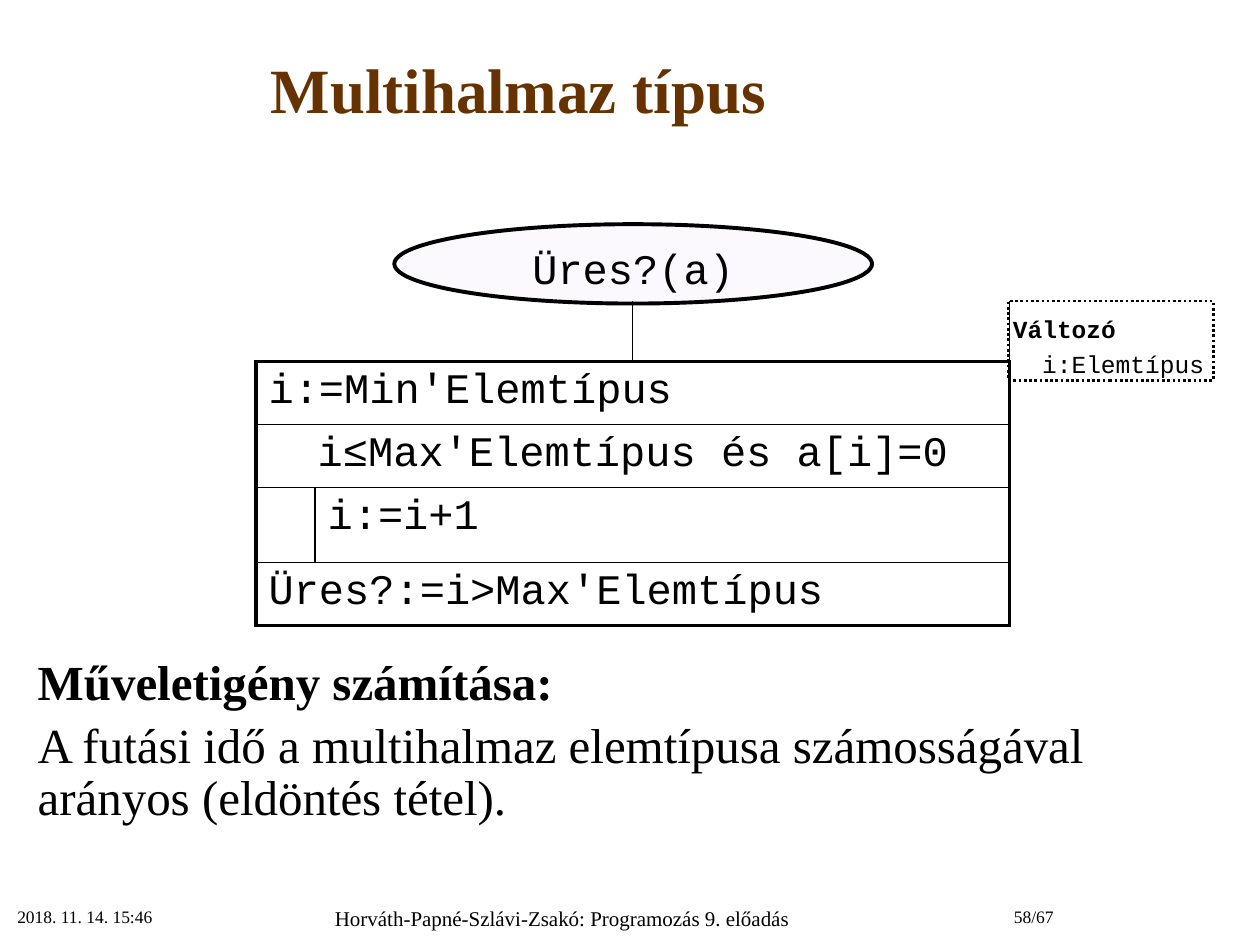
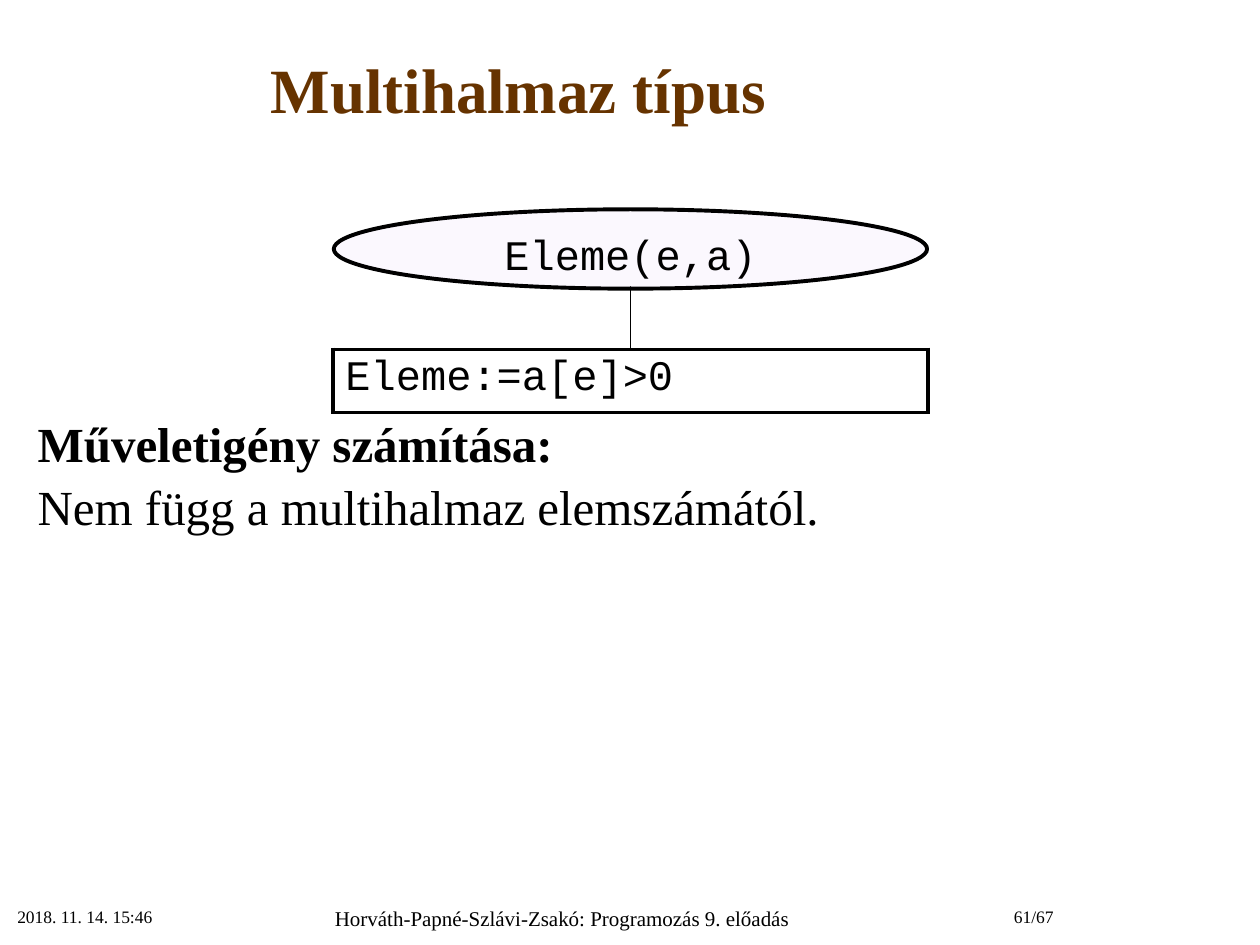
from lxml.etree import SubElement
from pptx import Presentation
from pptx.dml.color import RGBColor
from pptx.enum.dml import MSO_LINE
from pptx.enum.shapes import MSO_SHAPE
from pptx.enum.text import MSO_ANCHOR, PP_ALIGN
from pptx.oxml.ns import qn
from pptx.util import Cm, Pt

BLACK = RGBColor(0x00, 0x00, 0x00)
BROWN = RGBColor(0x66, 0x33, 0x00)
LAVENDER = RGBColor(0xF3, 0xE8, 0xFE)
SERIF = "Times New Roman"
MONO = "Courier New"
THICK = Pt(2.25)
THIN = Pt(1)
PLAIN_TABLE = "{2D5ABB26-0587-4C30-8999-92F81FD0307C}"
ROW = 1.22
FOOTER_TOP = 18.14


class LectureDeck:
    """Holds the lecture's style and the slide being built."""

    def __init__(self):
        self.deck = Presentation()
        self.deck.slide_width = Cm(25.4)
        self.deck.slide_height = Cm(19.05)
        self.page = None

    def new_page(self, number):
        self.page = self.deck.slides.add_slide(self.deck.slide_layouts[6])
        title = self.text_box(0, 0.23, 20.9, 3.1, "Multihalmaz típus", 36,
                              PP_ALIGN.CENTER, bold=True, color=BROWN)
        title.vertical_anchor = MSO_ANCHOR.MIDDLE
        self.text_box(0.1, FOOTER_TOP, 5.28, 0.9, "2018. 11. 14. 15:46", 10)
        self.text_box(5.38, FOOTER_TOP, 11.91, 0.9,
                      "Horváth-Papné-Szlávi-Zsakó: Programozás 9. előadás", 12,
                      PP_ALIGN.CENTER)
        self.text_box(18.26, FOOTER_TOP, 3.23, 0.9, f"{number}/67", 10,
                      PP_ALIGN.RIGHT)

    def set_text(self, para, text, size, align=PP_ALIGN.LEFT, font=SERIF,
                 bold=False, color=BLACK):
        para.text = text
        para.alignment = align
        para.font.name = font
        para.font.size = Pt(size)
        para.font.bold = bold
        para.font.color.rgb = color

    def text_box(self, left, top, width, height, text, size,
                 align=PP_ALIGN.LEFT, **style):
        box = self.page.shapes.add_textbox(Cm(left), Cm(top), Cm(width), Cm(height))
        frame = box.text_frame
        frame.word_wrap = True
        self.set_text(frame.paragraphs[0], text, size, align, **style)
        return frame

    def cost(self, top, height, explanation):
        """Adds the running-cost heading and its explanation."""
        frame = self.text_box(0.51, top, 24.4, height,
                              "Műveletigény számítása:", 28, bold=True)
        para = frame.add_paragraph()
        self.set_text(para, explanation, 28)
        para.line_spacing = Pt(30)
        para.space_before = Pt(6)

    def shape(self, kind, left, top, width, height, line_width):
        shape = self.page.shapes.add_shape(
            kind, Cm(left), Cm(top), Cm(width), Cm(height))
        shape.shadow.inherit = False
        shape.fill.background()
        shape.line.color.rgb = BLACK
        shape.line.width = line_width
        return shape

    def header(self, left, top, width, text):
        """Adds the oval that names the operation."""
        oval = self.shape(MSO_SHAPE.OVAL, left, top, width, 1.6, THICK)
        oval.fill.solid()
        oval.fill.fore_color.rgb = LAVENDER
        color = oval._element.spPr.find(qn("a:solidFill"))[0]
        SubElement(color, qn("a:alpha"), val="30000")
        frame = oval.text_frame
        frame.word_wrap = False
        frame.margin_top = Cm(0.3)
        frame.vertical_anchor = MSO_ANCHOR.MIDDLE
        self.set_text(frame.paragraphs[0], text, 24, PP_ALIGN.CENTER, MONO)

    def variables(self, left, top, width, heading, declaration):
        box = self.shape(MSO_SHAPE.RECTANGLE, left, top, width, 1.6, Pt(1.5))
        box.line.dash_style = MSO_LINE.ROUND_DOT
        frame = box.text_frame
        frame.word_wrap = True
        frame.vertical_anchor = MSO_ANCHOR.TOP
        frame.margin_left = frame.margin_bottom = Cm(0.1)
        frame.margin_top = Cm(0.15)
        frame.margin_right = 0
        second = frame.add_paragraph()
        second._p.get_or_add_pPr().set("marL", str(Cm(0.59)))
        self.set_text(frame.paragraphs[0], heading, 14, font=MONO, bold=True)
        self.set_text(second, declaration, 14, font=MONO)
        for para in frame.paragraphs:
            para.line_spacing = Pt(20)

    def borders(self, cell, thick, thin):
        """Draws the sides named by the letters L, R, T and B."""
        properties = cell._tc.get_or_add_tcPr()
        for side in "LRTB":
            if side in thick + thin:
                width = THICK if side in thick else THIN
                line = SubElement(properties, qn(f"a:ln{side}"), w=str(width))
                fill = SubElement(line, qn("a:solidFill"))
                SubElement(fill, qn("a:srgbClr"), val=str(BLACK))

    def structogram(self, left, top, widths, heights, blocks):
        """Each block is row, column, span, text, thick sides, thin sides."""
        table = self.page.shapes.add_table(
            len(heights), len(widths), Cm(left), Cm(top),
            Cm(sum(widths)), Cm(sum(heights))).table
        table.first_row = table.horz_banding = False
        table._tbl.tblPr.find(qn("a:tableStyleId")).text = PLAIN_TABLE
        for column, width in zip(table.columns, widths):
            column.width = Cm(width)
        for row, height in zip(table.rows, heights):
            row.height = Cm(height)
        for row, column, span, text, thick, thin in blocks:
            last = column + span - 1
            first_cell = table.cell(row, column)
            if span > 1:
                first_cell.merge(table.cell(row, last))
            for index in range(column, last + 1):
                cell = table.cell(row, index)
                self.borders(cell, thick, thin)
                cell.fill.background()
            if text:
                align = PP_ALIGN.CENTER if "≤" in text else PP_ALIGN.LEFT
                self.set_text(first_cell.text_frame.paragraphs[0], text, 24,
                              align, MONO)


def build_is_empty(lecture):
    lecture.new_page(58)
    lecture.structogram(5.16, 6.07, [1.19, 6.4, 7.6], [ROW, ROW, ROW, 1.51, ROW], [
        (0, 0, 2, "", "", ""),
        (0, 2, 1, "", "B", "L"),
        (1, 0, 3, "i:=Min'Elemtípus", "LTR", "B"),
        (2, 0, 3, "i≤Max'Elemtípus és a[i]=0", "LR", "T"),
        (3, 0, 1, "", "L", "RB"),
        (3, 1, 2, "i:=i+1", "R", "LTB"),
        (4, 0, 3, "Üres?:=i>Max'Elemtípus", "LRB", "T"),
    ])
    lecture.header(7.95, 4.52, 9.63, "Üres?(a)")
    lecture.variables(20.32, 6.07, 4.14, "Változó", "i:Elemtípus")
    lecture.cost(13, 4, "A futási idő a multihalmaz elemtípusa "
                 "számosságával arányos (eldöntés tétel).")


def build_is_element(lecture):
    lecture.new_page(61)
    lecture.cost(8.22, 2.8, "Nem függ a multihalmaz elemszámától.")
    lecture.structogram(6.71, 5.77, [6, 6], [1.27, 1.27], [
        (0, 0, 1, "", "", ""),
        (0, 1, 1, "", "B", "L"),
        (1, 0, 2, "Eleme:=a[e]>0", "LRTB", ""),
    ])
    lecture.header(6.73, 4.22, 11.96, "Eleme(e,a)")


def main():
    lecture = LectureDeck()
    build_is_empty(lecture)
    build_is_element(lecture)
    lecture.deck.save("out.pptx")


if __name__ == "__main__":
    main()
